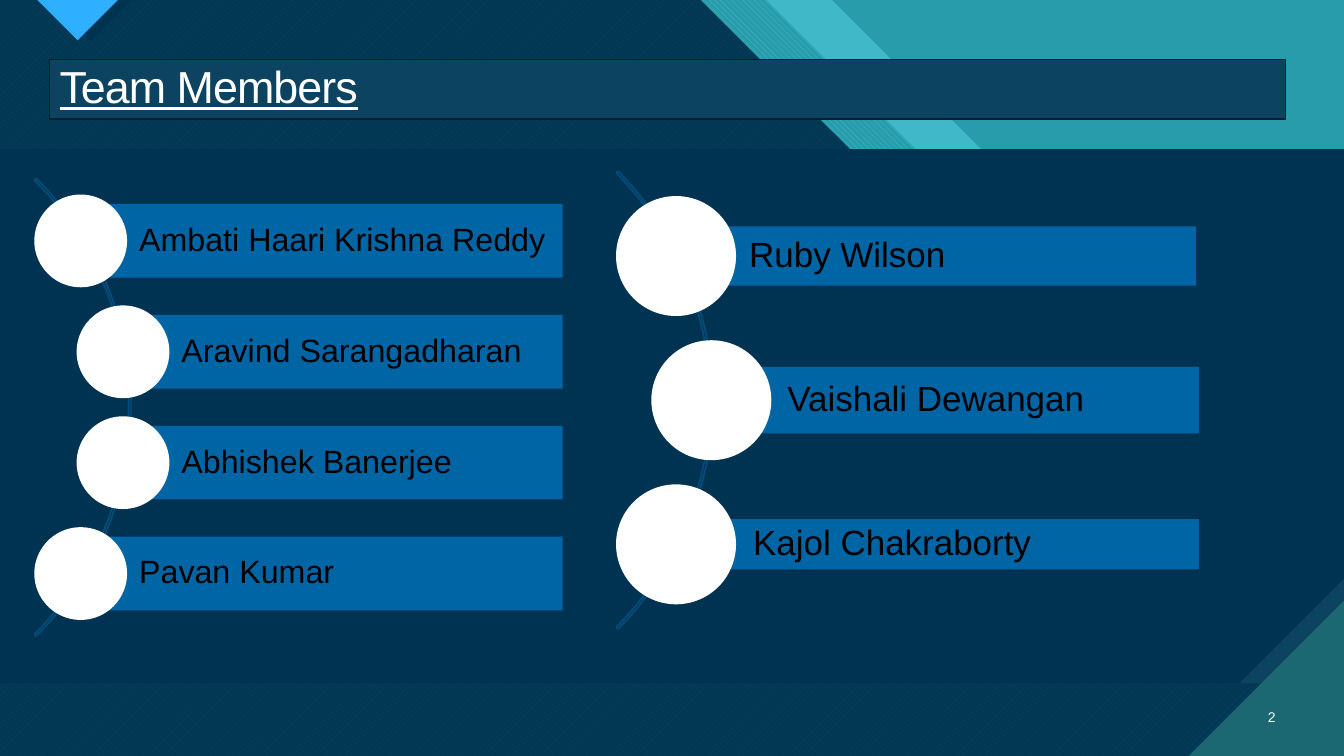
from pptx import Presentation
from pptx.dml.color import RGBColor
from pptx.enum.dml import MSO_PATTERN
from pptx.enum.shapes import MSO_SHAPE
from pptx.enum.text import MSO_ANCHOR, MSO_AUTO_SIZE, PP_ALIGN
from pptx.util import Inches, Pt

COLORS = {
    "teal": "299CAB", "light": "40B8C7", "bright": "47C3D3", "navy": "003352",
    "shade": "033855", "weave": "07415F", "steel": "0C4360", "pine": "1B6872",
    "sky": "2FAFFF", "edge": "051D2A", "bar": "0065A4", "arc": "005183",
    "white": "FFFFFF", "black": "000000",
}
WIDTH, HEIGHT = 13.33, 7.5


def color(name):
    """Return the named colour."""
    return RGBColor.from_string(COLORS[name])


def paint(shape, fill=None, line=None, back=None, hatch=None):
    """Set fill, outline and shadow of a shape."""
    shape.shadow.inherit = False
    if hatch:
        shape.fill.patterned()
        shape.fill.pattern = hatch
        shape.fill.fore_color.rgb = color(fill)
        shape.fill.back_color.rgb = color(back)
    elif fill:
        shape.fill.solid()
        shape.fill.fore_color.rgb = color(fill)
    else:
        shape.fill.background()
    if line:
        shape.line.color.rgb = color(line)
        shape.line.width = Pt(1)
    else:
        shape.line.fill.background()
    return shape


def add(slide, kind, box, **look):
    """Add a painted preset shape in a box of inches."""
    return paint(slide.shapes.add_shape(kind, *map(Inches, box)), **look)


def trace(slide, points, **look):
    """Add a painted polygon through points in inches."""
    spots = [(Inches(x), Inches(y)) for x, y in points]
    pen = slide.shapes.build_freeform(*spots[0])
    pen.add_line_segments(spots[1:], close=True)
    return paint(pen.convert_to_shape(), **look)


def write(shape, text, size, tint="white", align=PP_ALIGN.LEFT, space=1.0,
          pads=(0.1, 0.05, 0.1, 0.05), under=None, track=None):
    """Write one formatted line of text into a shape."""
    frame = shape.text_frame
    frame.word_wrap = True
    frame.auto_size = MSO_AUTO_SIZE.NONE
    frame.vertical_anchor = MSO_ANCHOR.MIDDLE
    (frame.margin_left, frame.margin_top,
     frame.margin_right, frame.margin_bottom) = map(Inches, pads)
    line = frame.paragraphs[0]
    line.alignment, line.line_spacing = align, space
    run = line.add_run()
    run.text = text
    font = run.font
    font.name, font.size, font.underline = "Arial", Pt(size), under
    font.color.rgb = color(tint)
    if track:
        run._r.get_or_add_rPr().set("spc", str(track))


def backdrop(slide, box):
    """Draw the slanted bands, the panel and the corners."""
    left, top, width, height = box
    right, base = left + width, top + height
    add(slide, MSO_SHAPE.RECTANGLE, box, fill="teal")
    bands = [
        (8.25, dict(fill="light")),
        (7.6, dict(fill="bright", back="teal",
                   hatch=MSO_PATTERN.WIDE_DOWNWARD_DIAGONAL)),
        (6.95, dict(fill="weave", back="shade",
                    hatch=MSO_PATTERN.WIDE_UPWARD_DIAGONAL)),
    ]
    for start, look in bands:
        x, drop = left + start, 2.97
        trace(slide, [(left, top), (x, top), (x + drop, top + drop),
                      (right, top + drop), (right, base), (left, base)], **look)
    for x, half, fill in [(0.9, 0.41, "navy"), (0.77, 0.4, "sky")]:
        trace(slide, [(left + x - half, top), (left + x + half, top),
                      (left + x, top + half)], fill=fill)
    panel = (left, top + 1.48, width, 5.3)
    add(slide, MSO_SHAPE.RECTANGLE, panel, fill="steel")
    low, snip = top + 6.78, 1.04
    trace(slide, [(left, panel[1]), (right, panel[1]), (right, low - snip),
                  (right - snip, low), (left, low)], fill="navy")
    trace(slide, [(right - 1.54, base), (right, base), (right, base - 1.54)],
          fill="pine")


def heading(slide, box, text):
    """Place the title placeholder above the backdrop."""
    title = slide.shapes.title
    slide.shapes._spTree.append(title._element)
    title.left, title.top, title.width, title.height = map(Inches, box)
    paint(title, fill="steel", line="edge")
    write(title, text, 32, space=0.9, under=True, track=-70)


def members(slide, box, rows, step, dot, size, pad):
    """Draw an arc of dots with a name bar beside each."""
    left, top, width, height = box
    mid, ring = top + height / 2, 6.42
    arc = add(slide, MSO_SHAPE.BLOCK_ARC,
              (left - 5.46, mid - ring / 2, ring, ring), line="arc")
    for i, value in enumerate((189, 27, 0.004)):
        arc.adjustments[i] = value
    for i, (name, shift, start, end, tall) in enumerate(rows):
        y = mid + (i - (len(rows) - 1) / 2) * step
        bar = add(slide, MSO_SHAPE.RECTANGLE,
                  (left + start, y - tall / 2, end - start, tall), fill="bar")
        write(bar, name, size, tint="black", space=0.9,
              pads=(pad, 0.06, 0.06, 0.06))
        add(slide, MSO_SHAPE.OVAL, (left + shift, y - dot / 2, dot, dot),
            fill="white")


def main():
    """Build and save the slide."""
    deck = Presentation()
    deck.slide_width, deck.slide_height = Inches(WIDTH), Inches(HEIGHT)
    slide = deck.slides.add_slide(deck.slide_layouts[5])
    backdrop(slide, (0, 0, WIDTH, HEIGHT))
    heading(slide, (0.49, 0.59, 12.26, 0.59), "Team Members")
    members(slide, (0.34, 1.77, 5.24, 4.54), [
        ("Ambati Haari Krishna Reddy", 0, 0.46, 5.24, 0.73),
        ("Aravind Sarangadharan", 0.42, 0.88, 5.24, 0.73),
        ("Abhishek Banerjee", 0.42, 0.88, 5.24, 0.73),
        ("Pavan Kumar", 0, 0.46, 5.24, 0.73),
    ], step=1.1, dot=0.92, size=23, pad=0.58)
    members(slide, (6.11, 1.7, 5.78, 4.54), [
        ("Ruby Wilson", 0, 0.56, 5.75, 0.59),
        ("Vaishali Dewangan", 0.35, 0.94, 5.78, 0.66),
        ("Kajol Chakraborty", 0, 0.6, 5.78, 0.5),
    ], step=1.43, dot=1.19, size=25, pad=0.76)
    number = slide.shapes.add_textbox(*map(Inches, (12.31, 6.91, 0.44, 0.4)))
    write(number, "2", 10, align=PP_ALIGN.RIGHT)
    deck.save("out.pptx")


if __name__ == "__main__":
    main()
